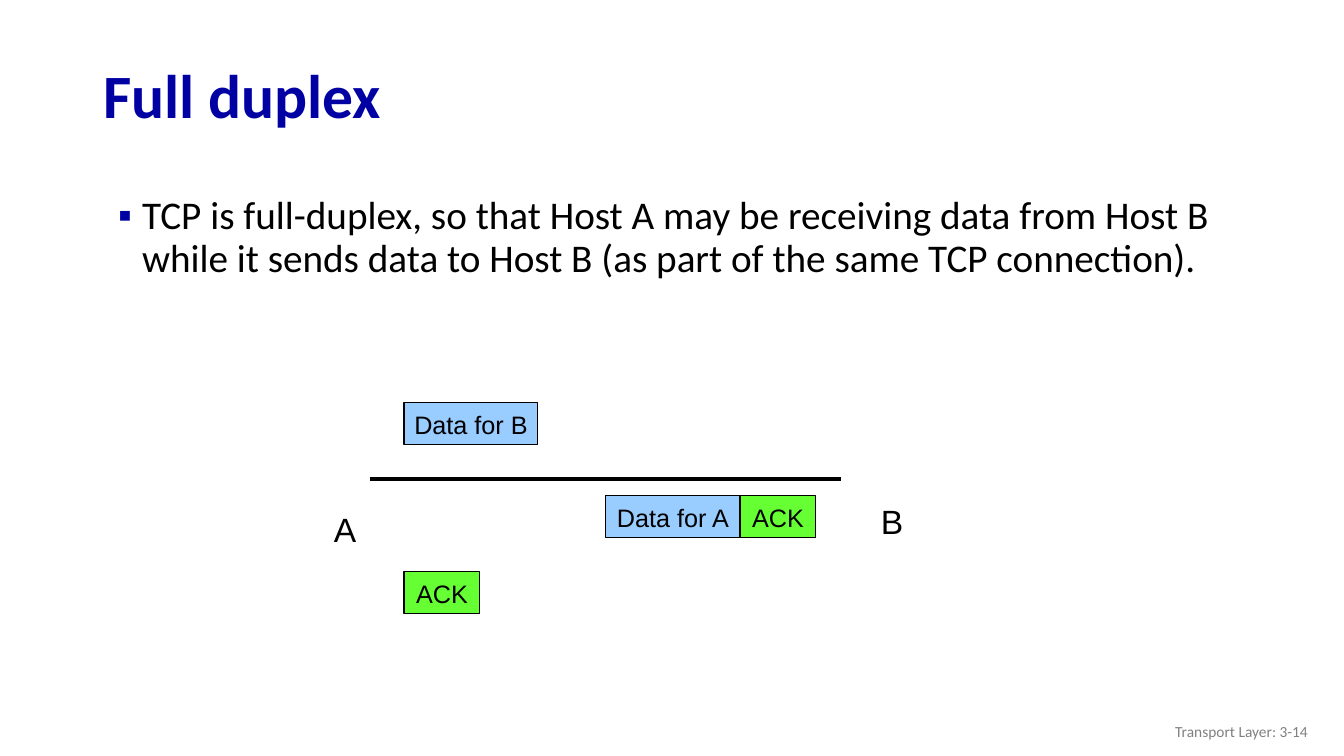
from lxml.etree import SubElement
from pptx import Presentation
from pptx.dml.color import RGBColor
from pptx.enum.shapes import MSO_CONNECTOR as CONNECTOR, MSO_SHAPE as SHAPE
from pptx.enum.text import MSO_ANCHOR as ANCHOR, MSO_AUTO_SIZE as AUTO_SIZE, PP_ALIGN as ALIGN
from pptx.oxml.ns import qn
from pptx.util import Pt

EMU_PER_PX = 914400 / 100.8
NAVY = RGBColor(0x00, 0x00, 0xA3)
BLACK = RGBColor(0x00, 0x00, 0x00)
GRAY = RGBColor(0x80, 0x80, 0x80)
DATA_BLUE = RGBColor(0x99, 0xCC, 0xFF)
ACK_GREEN = RGBColor(0x66, 0xFF, 0x33)

SEGMENT_HEIGHT = 42
DATA_WIDTH = 134
ACK_WIDTH = 76
LEFT_SEGMENT_X = 404
REPLY_X, REPLY_Y = 606, 496


def px(length):
    return round(length * EMU_PER_PX)


def place(shape, left, top, width, height):
    shape.left, shape.top = px(left), px(top)
    shape.width, shape.height = px(width), px(height)


def write(shape, text, size, font="Arial", color=BLACK, bold=False, align=ALIGN.CENTER,
          anchor=ANCHOR.MIDDLE, wrap=True, line_spacing=1.0, bullet_color=None):
    frame = shape.text_frame
    frame.auto_size = AUTO_SIZE.NONE
    frame.word_wrap = wrap
    frame.vertical_anchor = anchor
    frame.text = text
    paragraph = frame.paragraphs[0]
    if bullet_color is not None:
        add_square_bullet(paragraph, bullet_color)
    paragraph.alignment = align
    paragraph.line_spacing = line_spacing
    paragraph.space_before = Pt(0)
    paragraph.font.name = font
    paragraph.font.size = Pt(size)
    paragraph.font.bold = bold
    paragraph.font.color.rgb = color


def add_square_bullet(paragraph, color):
    properties = paragraph._p.get_or_add_pPr()
    properties.set("marL", str(px(39)))
    properties.set("indent", str(px(-24)))
    bullet_fill = SubElement(properties, qn("a:buClr"))
    SubElement(bullet_fill, qn("a:srgbClr"), val=str(color))
    SubElement(properties, qn("a:buFont"), typeface="Arial")
    SubElement(properties, qn("a:buChar"), char="▪")


def add_label(slide, text, box, **text_format):
    label = slide.shapes.add_textbox(*map(px, box))
    write(label, text, **text_format)


def add_segment(slide, text, left, top, width, fill):
    """Draw one TCP segment as a bordered, labelled rectangle."""
    segment = slide.shapes.add_shape(
        SHAPE.RECTANGLE, px(left), px(top), px(width), px(SEGMENT_HEIGHT))
    segment.shadow.inherit = False
    segment.fill.solid()
    segment.fill.fore_color.rgb = fill
    segment.line.color.rgb = BLACK
    segment.line.width = Pt(0.75)
    write(segment, text, size=18, wrap=False)


def add_link(slide, start, end, y):
    link = slide.shapes.add_connector(CONNECTOR.STRAIGHT, px(start), px(y), px(end), px(y))
    link.line.color.rgb = BLACK
    link.line.width = Pt(2.25)
    SubElement(link._element.spPr, qn("a:effectLst"))


def main():
    presentation = Presentation()
    presentation.slide_width, presentation.slide_height = px(1344), px(756)
    slide = presentation.slides.add_slide(presentation.slide_layouts[1])

    title, body = slide.placeholders
    place(title, 93, 49, 1159, 99)
    write(title, "Full duplex", size=44, font="Calibri", color=NAVY, bold=True,
          align=ALIGN.LEFT, line_spacing=0.9)
    place(body, 93, 191, 1159, 480)
    write(body, "TCP is full-duplex, so that Host A may be receiving data from Host B "
          "while it sends data to Host B (as part of the same TCP connection).",
          size=28, font="Calibri", align=ALIGN.LEFT, anchor=ANCHOR.TOP,
          line_spacing=0.9, bullet_color=NAVY)
    add_label(slide, "Transport Layer: 3-14", (1016, 711, 302, 40), size=11,
              font="Calibri", color=GRAY, align=ALIGN.RIGHT)

    add_link(slide, 370, 841, 479)
    for host, left, top in (("A", 311, 504), ("B", 858, 496)):
        add_label(slide, host, (left, top, 68, 50), size=24, anchor=ANCHOR.TOP)

    add_segment(slide, "Data for B", LEFT_SEGMENT_X, 403, DATA_WIDTH, DATA_BLUE)
    add_segment(slide, "Data for A", REPLY_X, REPLY_Y, DATA_WIDTH, DATA_BLUE)
    add_segment(slide, "ACK", REPLY_X + DATA_WIDTH, REPLY_Y, ACK_WIDTH, ACK_GREEN)
    add_segment(slide, "ACK", LEFT_SEGMENT_X, 572, ACK_WIDTH, ACK_GREEN)

    presentation.save("out.pptx")


if __name__ == "__main__":
    main()
